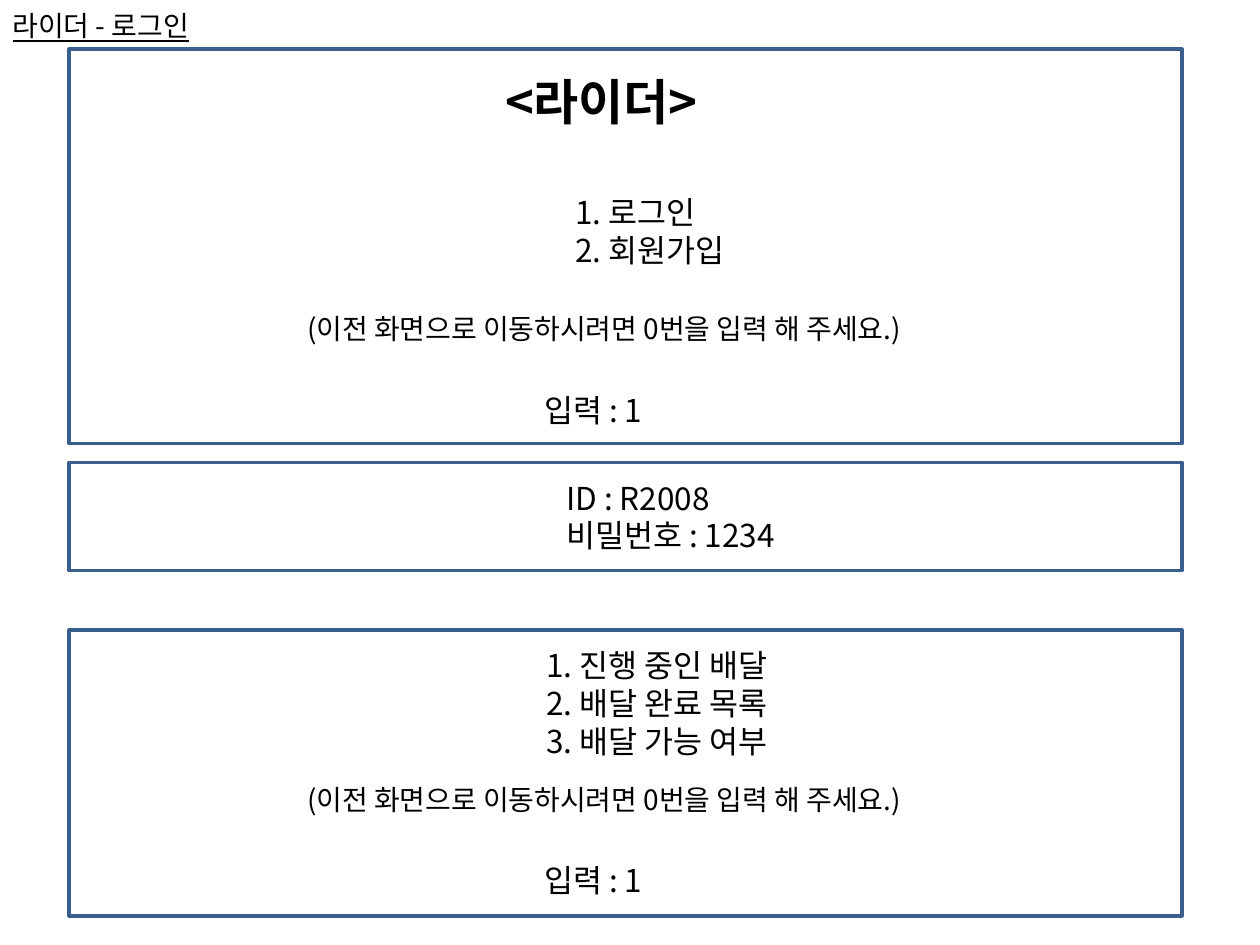
from lxml import etree
from pptx import Presentation
from pptx import util as u
from pptx.dml.color import RGBColor
from pptx.enum import shapes, text
from pptx.oxml.ns import qn

COLORS = {"ink": "000000", "border": "3A5F8C"}
FONT = "Noto Sans CJK KR"
PANEL_LEFT, PANEL_WIDTH = 39.6, 635.8
HINT = "(이전 화면으로 이동하시려면 0번을 입력 해 주세요.)"
LIST_INDENT = 243


def write(box, lines, size, bold=None, underline=None, indent=0):
    """Fill a text box or placeholder with left-aligned lines."""
    frame = box.text_frame
    frame.word_wrap = True
    frame.auto_size = text.MSO_AUTO_SIZE.SHAPE_TO_FIT_TEXT
    frame.vertical_anchor = text.MSO_ANCHOR.TOP
    frame.text = "\n".join(lines)
    for paragraph in frame.paragraphs:
        paragraph.alignment = text.PP_ALIGN.LEFT
        font = paragraph.font
        font.name, font.size = FONT, u.Pt(size)
        font.bold, font.underline = bold, underline
        font.color.rgb = RGBColor.from_string(COLORS["ink"])
        properties = paragraph._p.get_or_add_pPr()
        latin = properties.find(qn("a:defRPr")).find(qn("a:latin"))
        east_asian = etree.Element(qn("a:ea"), typeface=FONT)
        latin.addnext(east_asian)
        if indent:
            properties.set("marL", str(u.Pt(indent)))
            properties.set("indent", "0")


def add_text(slide, left, top, width, height, lines, size, **style):
    """Add a text box, with all lengths in points."""
    box = slide.shapes.add_textbox(*map(u.Pt, (left, top, width, height)))
    write(box, lines, size, **style)


def add_panel(slide, top, height):
    """Draw one outlined screen panel."""
    panel = slide.shapes.add_shape(
        shapes.MSO_SHAPE.RECTANGLE,
        *map(u.Pt, (PANEL_LEFT, top, PANEL_WIDTH, height)))
    panel.shadow.inherit = False
    panel.fill.background()
    panel.line.color.rgb = RGBColor.from_string(COLORS["border"])
    panel.line.width = u.Pt(2)


def add_entries(slide, left, top, lines):
    """Add a block of entries indented towards the panel's middle."""
    add_text(slide, left, top, 534.2, 7.5 + 21.7 * len(lines), lines, 18,
             indent=LIST_INDENT)


def add_prompt(slide, hint_top, input_top):
    """Add the back hint and the input line of a menu."""
    add_text(slide, PANEL_LEFT + 128.9, hint_top, 427.7, 26.6, [HINT], 16)
    add_text(slide, PANEL_LEFT + 264.2, input_top, 185.8, 29, ["입력 : 1"], 18)


def add_rider_menu(slide, top):
    """Build the first panel: rider heading and start menu."""
    add_panel(slide, top, 225.4)
    add_text(slide, PANEL_LEFT + 241.9, top + 9.4, 157.7, 41, ["<라이더>"], 28,
             bold=True)
    add_entries(slide, PANEL_LEFT + 38.9, top + 78.5,
                ["1. 로그인", "2. 회원가입"])
    add_prompt(slide, top + 146.2, top + 191.5)


def add_login(slide, top):
    """Build the second panel: login details."""
    add_panel(slide, top, 61.9)
    add_entries(slide, PANEL_LEFT + 33.8, top + 5.8,
                ["ID : R2008", "비밀번호 : 1234"])


def add_delivery_menu(slide, top):
    """Build the third panel: delivery menu."""
    add_panel(slide, top, 163.4)
    add_entries(slide, PANEL_LEFT + 22.3, top + 5.8,
                ["1. 진행 중인 배달", "2. 배달 완료 목록", "3. 배달 가능 여부"])
    add_prompt(slide, top + 83.5, top + 128.2)


def add_heading(slide):
    """Place the page title in the top-left corner."""
    title = slide.shapes.title
    title.left, title.top, title.width, title.height = map(
        u.Pt, (0, 1.4, 208.1, 26.6))
    write(title, ["라이더 - 로그인"], 16, underline=True)


def main():
    """Build and save the slide."""
    deck = Presentation()
    deck.slide_width, deck.slide_height = u.Pt(720), u.Pt(540)
    slide = deck.slides.add_slide(deck.slide_layouts.get_by_name("Title Only"))
    add_heading(slide)
    add_rider_menu(slide, 28.1)
    add_login(slide, 264.2)
    add_delivery_menu(slide, 360)
    deck.save("out.pptx")


main()
